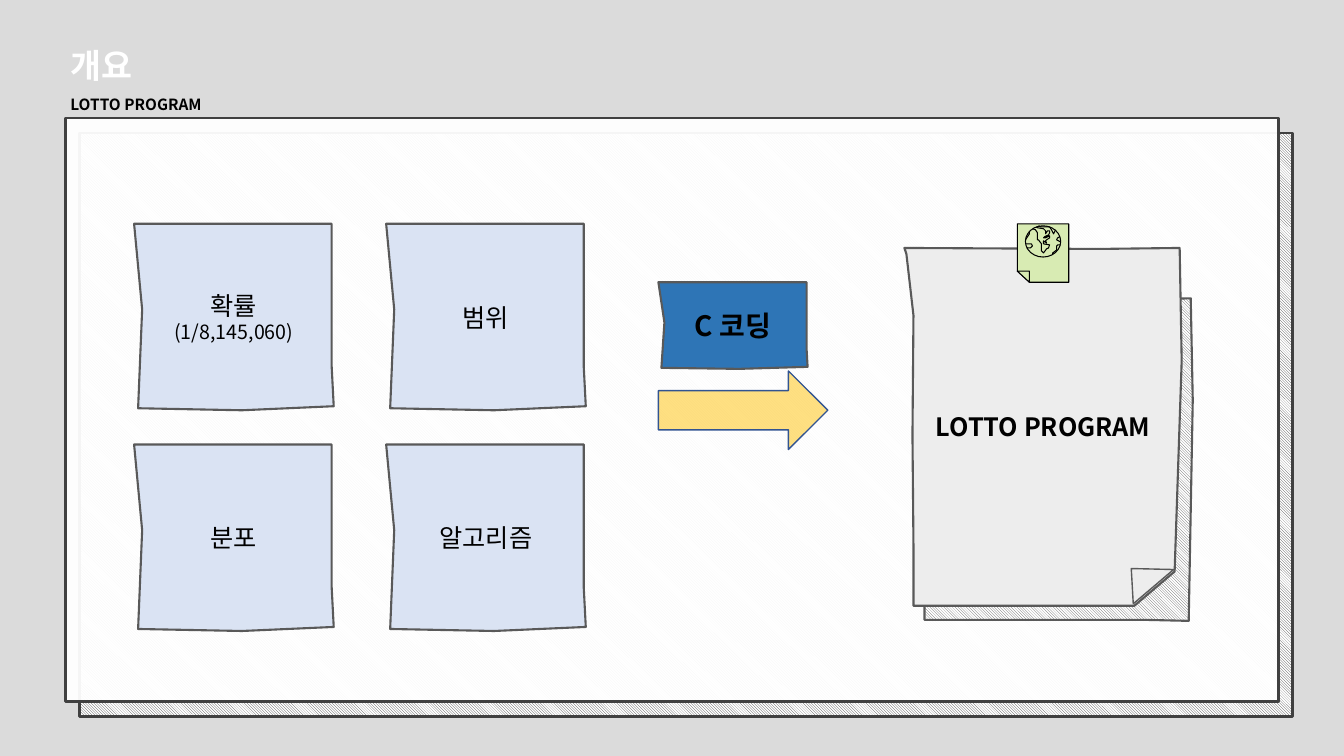
from lxml import etree
from pptx import Presentation
from pptx import util as u
from pptx.dml.color import RGBColor
from pptx.enum import dml, shapes, text
from pptx.oxml import ns

PX = 9144  # EMU in one px, 100 px to the inch
FONT = "Noto Sans CJK KR"

BLACK = RGBColor(0x00, 0x00, 0x00)
WHITE = RGBColor(0xFF, 0xFF, 0xFF)
BACK = RGBColor(0xDB, 0xDB, 0xDB)
DARK = RGBColor(0x40, 0x40, 0x40)
GREY = RGBColor(0x59, 0x59, 0x59)
PAPER = RGBColor(0xED, 0xED, 0xED)
PALE = RGBColor(0xDA, 0xE3, 0xF3)
BLUE = RGBColor(0x2E, 0x75, 0xB6)
NAVY = RGBColor(0x32, 0x54, 0x91)
GOLD = RGBColor(0xFF, 0xC0, 0x00)
GREEN = RGBColor(0xD8, 0xEB, 0xB3)

# Torn paper outline, in shares of its width and height
TORN = [(0, 0), (0.99, 0), (0.99, 0.77), (1, 0.98),
        (0.54, 1), (0.02, 0.99), (0.04, 0.46)]

CARDS = [
    [[("확률", 18), ("(1/8,145,060)", 14)], [("범위", 18)]],
    [[("분포", 18)], [("알고리즘", 18)]],
]

SHEET = [(897, 246), (1090, 247), (1170, 246), (1172, 358), (1165, 567),
         (1125, 601), (906, 601), (906, 541), (905, 432), (906, 313),
         (899, 252)]
SHADE = [(908, 296), (1101, 298), (1181, 296), (1183, 397), (1179, 616),
         (1135, 615), (917, 615), (917, 561), (916, 463), (917, 356),
         (910, 301)]
CURL = [(1124, 599), (1164, 565), (1122, 564)]
NOTE = [(1009, 222), (1060, 222), (1060, 280), (1021, 280), (1009, 269)]
FOLD = [(1009, 269), (1021, 269), (1021, 280)]
COASTS = [
    [(1017, 238), (1019, 235), (1021, 232), (1021, 229)],
    [(1017, 242), (1019, 242), (1023, 242), (1024, 244), (1022, 246),
     (1020, 246), (1018, 246)],
    [(1044, 252), (1044, 251), (1048, 248), (1048, 244), (1049, 243),
     (1052, 243)],
    [(1052, 240), (1050, 239), (1048, 238), (1049, 236), (1051, 235)],
    [(1030, 224), (1032, 225), (1038, 225), (1041, 225), (1043, 228),
     (1045, 232), (1047, 228)],
    [(1028, 225), (1029, 226), (1035, 227), (1037, 229), (1037, 232),
     (1039, 229), (1041, 229), (1041, 231), (1040, 233), (1038, 234),
     (1036, 235), (1035, 236), (1037, 236), (1039, 235), (1041, 234),
     (1041, 236), (1038, 238), (1037, 239), (1038, 241), (1035, 239),
     (1035, 242), (1041, 243), (1040, 246), (1038, 247), (1035, 251),
     (1033, 249), (1033, 242), (1030, 238), (1029, 238), (1029, 231),
     (1027, 228), (1024, 227)],
]


def paint(shape, fill, line, width, alpha=None, hatch=False):
    """Set fill and outline; alpha is the opacity in percent."""
    shape.shadow.inherit = False
    if fill is None:
        shape.fill.background()
    elif hatch:
        shape.fill.patterned()
        shape.fill.pattern = dml.MSO_PATTERN.DARK_DOWNWARD_DIAGONAL
        shape.fill.fore_color.rgb = fill
        shape.fill.back_color.rgb = WHITE
    else:
        shape.fill.solid()
        shape.fill.fore_color.rgb = fill
    if alpha is not None:
        color = shape.fill._xPr.find(".//" + ns.qn("a:srgbClr"))
        etree.SubElement(color, ns.qn("a:alpha"), val=str(alpha * 1000))
    shape.line.color.rgb = line
    shape.line.width = u.Pt(width)
    return shape


def preset(slide, kind, box, fill, line, width, **style):
    shape = slide.shapes.add_shape(kind, *(n * PX for n in box))
    return paint(shape, fill, line, width, **style)


def outline(slide, points, fill, line, width, close=True, **style):
    pen = slide.shapes.build_freeform(*points[0], scale=PX)
    pen.add_line_segments(points[1:], close=close)
    return paint(pen.convert_to_shape(), fill, line, width, **style)


def scrap(slide, left, top, width, height, fill):
    """Draw a piece of torn paper."""
    points = [(round(left + x * width), round(top + y * height))
              for x, y in TORN]
    return outline(slide, points, fill, GREY, 1.5)


def write(frame, words, size, color=BLACK, bold=False, first=True,
          align=text.PP_ALIGN.CENTER, anchor=text.MSO_ANCHOR.MIDDLE,
          spacing=None):
    """Add one paragraph of text to the frame."""
    frame.word_wrap = True
    frame.vertical_anchor = anchor
    para = frame.paragraphs[0] if first else frame.add_paragraph()
    para.alignment = align
    if spacing:
        para.line_spacing = spacing
    run = para.add_run()
    run.text = words
    font = run.font
    font.name, font.size, font.bold = FONT, u.Pt(size), bold
    font.color.rgb = color
    etree.SubElement(font._element, ns.qn("a:ea"), typeface=FONT)


def heading(slide):
    box = slide.shapes.add_textbox(*(n * PX for n in (60, 40, 603, 78)))
    frame = box.text_frame
    style = dict(bold=True, align=text.PP_ALIGN.LEFT,
                 anchor=text.MSO_ANCHOR.TOP)
    write(frame, "개요", 24, color=WHITE, **style)
    write(frame, "LOTTO PROGRAM", 11, first=False, spacing=1.5, **style)
    frame.auto_size = text.MSO_AUTO_SIZE.SHAPE_TO_FIT_TEXT


def cards(slide):
    for row, line in enumerate(CARDS):
        for col, parts in enumerate(line):
            card = scrap(slide, 133 + 250 * col, 222 + 219 * row,
                         198, 185, PALE)
            for i, (words, size) in enumerate(parts):
                write(card.text_frame, words, size, first=i == 0)


def result(slide):
    outline(slide, SHADE, GREY, GREY, 1.5, hatch=True)
    sheet = outline(slide, SHEET, PAPER, GREY, 1.5)
    write(sheet.text_frame, "LOTTO PROGRAM", 18, bold=True)
    outline(slide, CURL, PAPER, GREY, 1)
    for points in (NOTE, FOLD):
        outline(slide, points, GREEN, BLACK, 0.75)
    preset(slide, shapes.MSO_SHAPE.OVAL, (1017, 224, 35, 31),
           GREEN, BLACK, 0.75)
    for coast in COASTS:
        outline(slide, coast, None, BLACK, 0.75, close=False)


def step(slide):
    preset(slide, shapes.MSO_SHAPE.RIGHT_ARROW, (653, 368, 168, 78),
           GOLD, NAVY, 1, alpha=49)
    label = scrap(slide, 653, 280, 148, 86, BLUE)
    write(label.text_frame, "C 코딩", 20, bold=True)


def main():
    deck = Presentation()
    deck.slide_width, deck.slide_height = 1333 * PX, 750 * PX
    slide = deck.slides.add_slide(deck.slide_layouts[6])
    slide.background.fill.solid()
    slide.background.fill.fore_color.rgb = BACK
    rect = shapes.MSO_SHAPE.RECTANGLE
    preset(slide, rect, (79, 132, 1203, 579), DARK, DARK, 2, hatch=True)
    preset(slide, rect, (65, 117, 1203, 579), WHITE, DARK, 2, alpha=95)
    heading(slide)
    cards(slide)
    result(slide)
    step(slide)
    deck.save("out.pptx")


if __name__ == "__main__":
    main()
